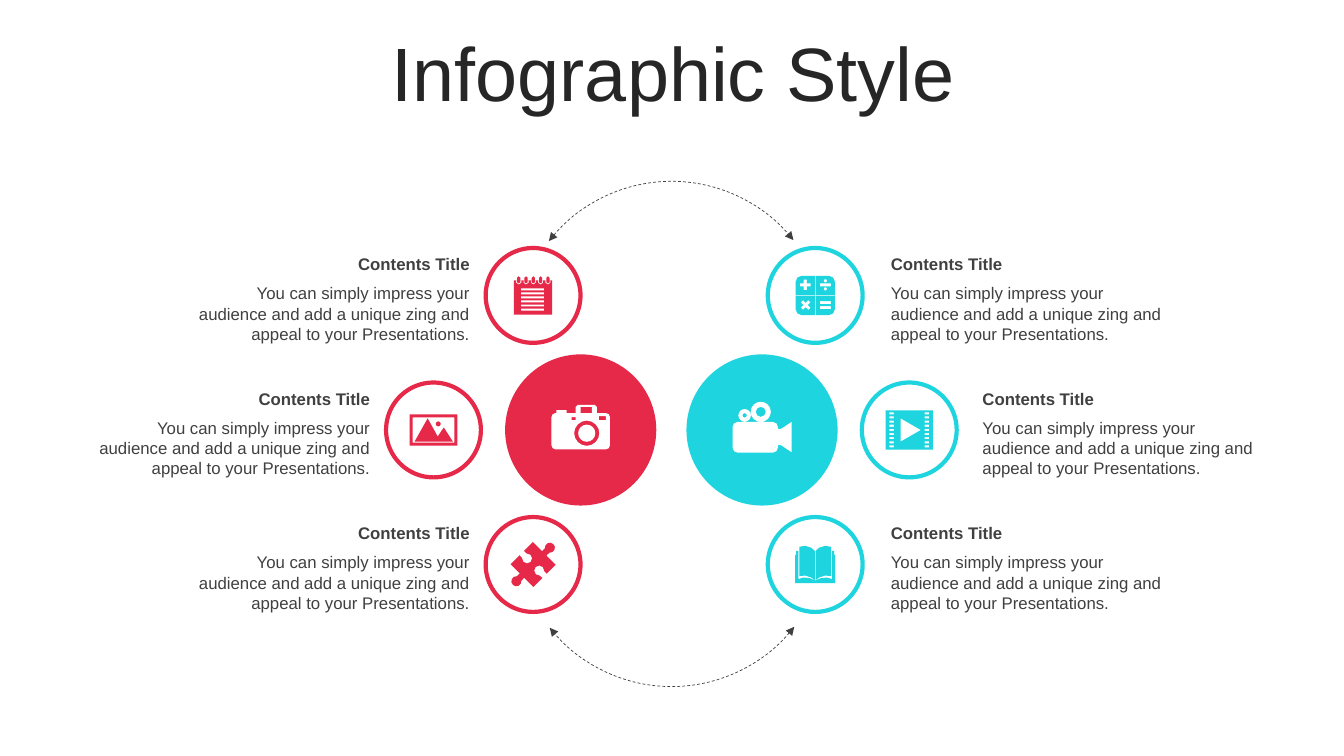
from math import cos, radians, sin

from lxml.etree import SubElement
from pptx import Presentation
from pptx.dml.color import RGBColor
from pptx.enum.dml import MSO_LINE
from pptx.enum.shapes import MSO_SHAPE
from pptx.enum.text import MSO_ANCHOR, MSO_AUTO_SIZE, PP_ALIGN
from pptx.oxml.ns import qn
from pptx.util import Cm, Pt

RED, CYAN, WHITE, DARK, TITLE_COLOR = "E62949", "1ED4DE", "FFFFFF", "404040", "262626"
HUB, RING, ROW_STEP = 3.81, 2.39, 3.39
ICON_UNIT = 0.0254
HEADING = "Contents Title"
BODY = "You can simply impress your audience and add a unique zing and appeal to your Presentations."


def color(hex_string):
    return RGBColor.from_string(hex_string)


def set_values(target, values):
    for name, value in values.items():
        setattr(target, name, value)


def rectangle(x, y, width, height):
    return [(x, y), (x + width, y), (x + width, y + height), (x, y + height)]


def arc_points(x, y, radius, start, end, steps):
    angles = [radians(start + (end - start) * i / steps) for i in range(steps + 1)]
    return [(x + radius * cos(a), y + radius * sin(a)) for a in angles]


def circle(x, y, radius):
    return arc_points(x, y, radius, 0, 360, 16 if radius > 6 else 8)[:-1]


def rounded(x, y, width, height, radius):
    right, bottom = x + width - radius, y + height - radius
    corners = [(right, bottom), (x + radius, bottom), (x + radius, y + radius), (right, y + radius)]
    return [point for i, (cx, cy) in enumerate(corners)
            for point in arc_points(cx, cy, radius, 90 * i, 90 * i + 90, 2)]


def cross(x, y, half, arm, turn):
    points = []
    for angle in (radians(turn + 90 * i) for i in range(4)):
        for px, py in [(half, -arm), (half, arm), (arm, arm)]:
            points.append((x + px * cos(angle) - py * sin(angle),
                           y + px * sin(angle) + py * cos(angle)))
    return points


def notepad():
    contours = [rectangle(0, 4, 38, 34)]
    contours += [rectangle(7, 12 + 4 * i, 23, 2) for i in range(6)]
    for x in (4.75 + 7.25 * i for i in range(5)):
        contours.append([(x - 2.5, 4), (x + 2.5, 4), (x + 2.5, 6.5), (x, 8.2), (x - 2.5, 6.5)])
        contours.append([(x, 0), (x + 1.6, 1.5), (x + 1.6, 6), (x, 7), (x - 1.6, 6), (x - 1.6, 1.5)])
    return contours


def picture_frame():
    mountains = [(18, 4), (28, 22), (34, 13), (43, 27), (5, 27)]
    return [rectangle(0, 0, 47.5, 31), rectangle(3, 3, 41.5, 25), mountains, circle(28.5, 9.5, 2.5)]


def puzzle():
    right = (arc_points(0, -23.5, 5, -90, 50, 4) + [(3, -15.6), (16, -15.6), (16, -3)]
             + arc_points(8.5, 0, 5, -40, -320, 6) + [(16, 3), (16, 15.6), (3, 15.6)]
             + arc_points(0, 23.5, 5, -50, 90, 4))
    return [right + [(-x, y) for x, y in reversed(right[1:-1])]]


def calculator():
    return [rounded(0, 0, 39, 39, 6), rectangle(19.2, 0, 0.6, 39),
            rectangle(0, 19.2, 19.2, 0.6), rectangle(19.8, 19.2, 19.2, 0.6),
            cross(9.5, 9, 5.3, 1.6, 0), cross(10, 29, 5.3, 1.6, 45),
            rectangle(24, 7.5, 11, 3), circle(29.5, 5, 1.7), circle(29.5, 13, 1.7),
            rectangle(24, 25, 11, 3), rectangle(24, 30, 11, 3)]


def film():
    holes = [rectangle(x, 2 + 4.1 * i, 4.5, 2) for i in range(9) for x in (3.7, 38.8)]
    return [rectangle(0, 0, 47, 39), [(15, 8), (35, 19.5), (15, 31)]] + holes


def book():
    page = [(4, 1), (10, 0), (16, 2), (19.4, 5), (19.4, 34), (16, 31.5), (10, 29.5), (4, 30)]
    cover = [(3, 5), (3, 33), (8, 31.5), (14, 32), (19.8, 34.5), (19.8, 37),
             (0, 37), (0, 9), (1, 9), (1, 5)]
    return [page, cover] + [[(39.6 - x, y) for x, y in half] for half in (page, cover)]


def camera():
    return [rounded(0, 8, 58, 36, 4), [(24, 8), (24, 2), (26, 0), (43, 0), (45, 2), (45, 8)],
            rectangle(29, 2, 11, 6), rectangle(5, 5, 10, 3), circle(35, 28, 12.5),
            circle(35, 28, 8.5), rectangle(20, 12, 4, 3), rectangle(47, 11, 7, 4)]


def video_camera():
    lens = [(45, 27), (48, 27), (58.5, 20), (58.5, 50), (48, 43), (45, 43)]
    return [rounded(0, 20, 45, 30.5, 5), lens, circle(12, 13.5, 6.2), circle(12, 13.5, 2.2),
            circle(28, 10, 10), circle(28, 10, 5)]


def add_icon(shapes, contours, center_x, center_y, fill, rotation=0):
    first, *others = [[(Cm(x * ICON_UNIT), Cm(y * ICON_UNIT)) for x, y in contour]
                      for contour in contours]
    builder = shapes.build_freeform(*first[0])
    builder.add_line_segments(first[1:], close=True)
    for contour in others:
        builder.move_to(*contour[0])
        builder.add_line_segments(contour[1:], close=True)
    shape = builder.convert_to_shape()
    shape.shadow.inherit = False
    shape.fill.solid()
    shape.fill.fore_color.rgb = color(fill)
    shape.line.fill.background()
    set_values(shape, {"left": Cm(center_x) - shape.width // 2,
                       "top": Cm(center_y) - shape.height // 2, "rotation": rotation})


def add_disc(shapes, left, top, size, fill, outline=None):
    shape = shapes.add_shape(MSO_SHAPE.OVAL, Cm(left), Cm(top), Cm(size), Cm(size))
    shape.shadow.inherit = False
    shape.fill.solid()
    shape.fill.fore_color.rgb = color(fill)
    if outline:
        shape.line.color.rgb = color(outline)
        shape.line.width = Pt(3)
    else:
        shape.line.fill.background()


def add_text(shapes, box, text, alignment, bold):
    frame = shapes.add_textbox(*map(Cm, box)).text_frame
    set_values(frame, {"word_wrap": True, "auto_size": MSO_AUTO_SIZE.SHAPE_TO_FIT_TEXT})
    paragraph = frame.paragraphs[0]
    set_values(paragraph, {"text": text, "alignment": alignment})
    set_values(paragraph.font, {"name": "Arial", "size": Pt(12), "bold": bold})
    paragraph.font.color.rgb = color(DARK)


def add_side(slide, top, hub_left, ring_lefts, text_lefts, text_width, alignment, accent, hub_icon, icons):
    discs = slide.shapes.add_group_shape().shapes
    hub_top = top + ROW_STEP + (RING - HUB) / 2
    add_disc(discs, hub_left, hub_top, HUB, accent)
    add_icon(slide.shapes, hub_icon, hub_left + HUB / 2, hub_top + HUB / 2 - 0.07, WHITE)
    for row, (ring_left, text_left, (icon, rotation)) in enumerate(zip(ring_lefts, text_lefts, icons)):
        row_top = top + ROW_STEP * row
        add_disc(discs, ring_left, row_top, RING, WHITE, accent)
        add_icon(slide.shapes, icon, ring_left + RING / 2, row_top + RING / 2, accent, rotation)
        texts = slide.shapes.add_group_shape().shapes
        add_text(texts, (text_left, row_top + 0.76, text_width, 1.8), BODY, alignment, False)
        add_text(texts, (text_left, row_top + 0.02, text_width, 0.76), HEADING, alignment, True)


def add_arc(slide, left, top, size, rotation):
    shape = slide.shapes.add_shape(MSO_SHAPE.ARC, Cm(left), Cm(top), Cm(size), Cm(size))
    shape.shadow.inherit = False
    shape.rotation = rotation
    shape.adjustments[0], shape.adjustments[1] = 130.82, 192.9
    shape.fill.background()
    shape.line.color.rgb = color(DARK)
    set_values(shape.line, {"width": Pt(0.5), "dash_style": MSO_LINE.DASH})
    outline = shape.element.spPr.find(qn("a:ln"))
    for end in ("a:headEnd", "a:tailEnd"):
        SubElement(outline, qn(end), type="triangle")


def add_title(slide, left, top, width, height):
    title = slide.shapes.title
    set_values(title, {"left": Cm(left), "top": Cm(top), "width": Cm(width), "height": Cm(height)})
    set_values(title.text_frame, {"text": "Infographic Style", "word_wrap": True,
                                  "auto_size": MSO_AUTO_SIZE.NONE, "vertical_anchor": MSO_ANCHOR.MIDDLE})
    paragraph = title.text_frame.paragraphs[0]
    set_values(paragraph, {"alignment": PP_ALIGN.CENTER, "line_spacing": 0.9})
    set_values(paragraph.font, {"name": "Arial", "size": Pt(54)})
    paragraph.font.color.rgb = color(TITLE_COLOR)


def main():
    presentation = Presentation()
    set_values(presentation, {"slide_width": Cm(33.87), "slide_height": Cm(19.05)})
    slide = presentation.slides.add_slide(presentation.slide_layouts[5])
    add_title(slide, 0.89, 0.94, 32.16, 2.01)
    add_side(slide, 6.25, 12.73, (12.24, 9.73, 12.24), (4.72, 2.21, 4.72), 7.37, PP_ALIGN.RIGHT,
             RED, camera(), [(notepad(), 0), (picture_frame(), 0), (puzzle(), 45)])
    add_side(slide, 6.25, 17.3, (19.35, 21.72, 19.35), (22.2, 24.51, 22.2), 7.42, PP_ALIGN.LEFT,
             CYAN, video_camera(), [(calculator(), 0), (film(), 0), (book(), 0)])
    for top, rotation in [(4.57, 0), (9.45, 180)]:
        add_arc(slide, 13, top, 7.85, rotation)
    presentation.save("out.pptx")


if __name__ == "__main__":
    main()
